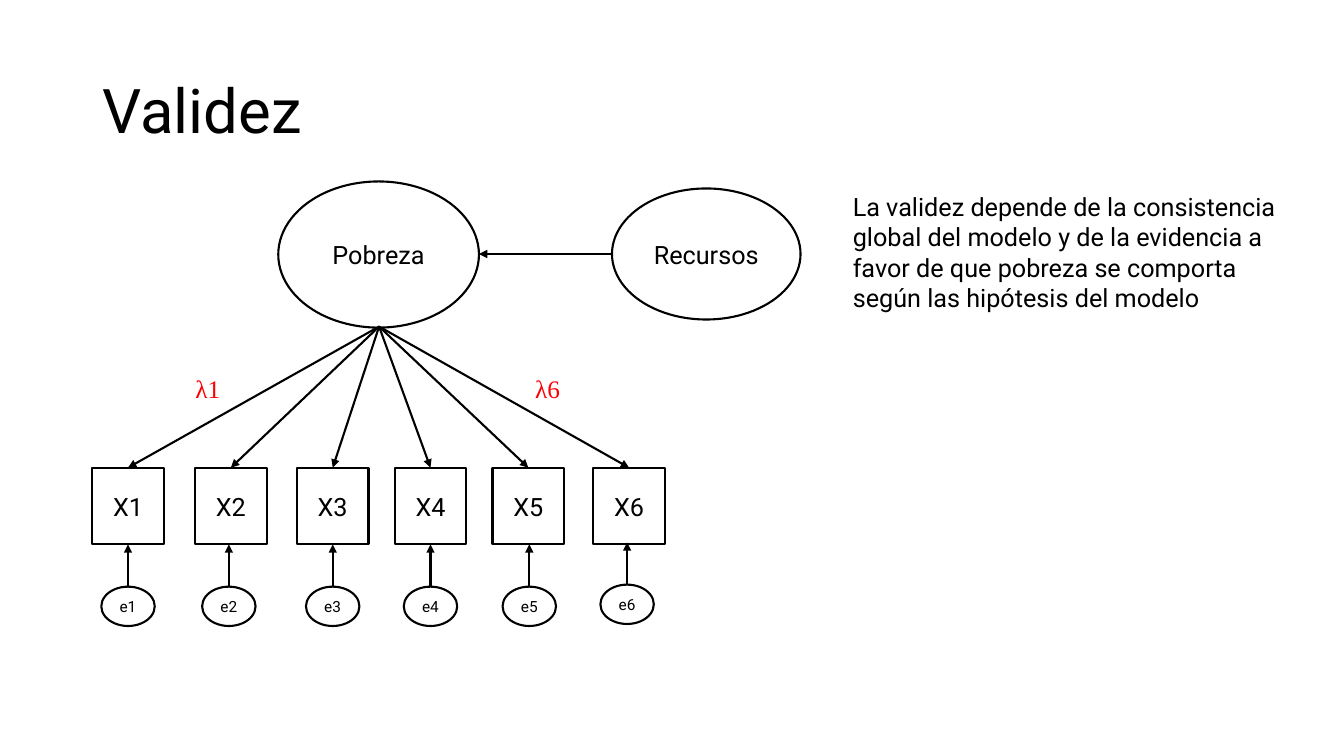
"""Draw the validity slide: a poverty factor, six indicators and their errors."""
import pptx
import pptx.util
import pptx.dml.color
import pptx.enum.shapes
import pptx.enum.text
import pptx.oxml.ns
import lxml.etree

Inches = pptx.util.Inches
Pt = pptx.util.Pt
RGB = pptx.dml.color.RGBColor
Kind = pptx.enum.shapes.MSO_SHAPE
Align = pptx.enum.text.PP_ALIGN
Anchor = pptx.enum.text.MSO_ANCHOR
qn = pptx.oxml.ns.qn

theme = {
    "ink": RGB(0, 0, 0),
    "paper": RGB(255, 255, 255),
    "red": RGB(255, 0, 0),
    "font": "Roboto",
    "greek": "Times New Roman",
    "title": Pt(44),
    "body": Pt(18),
    "small": Pt(11),
    "line": Pt(1.5),
}

deck = pptx.Presentation()
deck.slide_width = Inches(13.33)
deck.slide_height = Inches(7.5)
slide = deck.slides.add_slide(deck.slide_layouts[6])


def put(text, box, kind=None, size="body", font="font", color="ink"):
    """Add a text box, or an outlined shape with centred text if kind is given."""
    place = [Inches(n) for n in box]
    if kind is None:
        item = slide.shapes.add_textbox(*place)
    else:
        item = slide.shapes.add_shape(kind, *place)
        item.shadow.inherit = False
        item.fill.solid()
        item.fill.fore_color.rgb = theme["paper"]
        item.line.color.rgb = theme["ink"]
        item.line.width = theme["line"]
    frame = item.text_frame
    frame.word_wrap = True
    frame.text = text
    para = frame.paragraphs[0]
    if kind is not None:
        frame.margin_left = frame.margin_right = 0
        frame.margin_top = frame.margin_bottom = 0
        frame.vertical_anchor = Anchor.MIDDLE
        para.alignment = Align.CENTER
    run = para.runs[0]
    run.font.size = theme[size]
    run.font.name = theme[font]
    run.font.color.rgb = theme[color]
    return item


def arrow(x1, y1, x2, y2):
    """Add a straight line with a triangle at its end."""
    link = slide.shapes.add_connector(
        pptx.enum.shapes.MSO_CONNECTOR.STRAIGHT,
        Inches(x1), Inches(y1), Inches(x2), Inches(y2))
    link.line.color.rgb = theme["ink"]
    link.line.width = theme["line"]
    tip = lxml.etree.SubElement(link.line._get_or_add_ln(), qn("a:tailEnd"))
    tip.set("type", "triangle")
    lxml.etree.SubElement(link._element.spPr, qn("a:effectLst"))


title = put("Validez", (0.92, 0.4, 11.5, 1.45), size="title")
title.text_frame.vertical_anchor = Anchor.MIDDLE
title.text_frame.paragraphs[0].line_spacing = 0.9

put("Pobreza", (2.76, 1.8, 1.99, 1.45), Kind.OVAL)
put("Recursos", (6.07, 1.87, 1.87, 1.3), Kind.OVAL)
arrow(6.07, 2.52, 4.75, 2.52)

columns = [
    (1.27, 1.27, 5.82),
    (2.29, 2.27, 5.82),
    (3.3, 3.3, 5.82),
    (4.27, 4.27, 5.82),
    (5.24, 5.25, 5.82),
    (6.24, 6.22, 5.8),
]
for num, (mid, error, top) in enumerate(columns, 1):
    put(f"X{num}", (mid - 0.355, 4.64, 0.71, 0.76), Kind.RECTANGLE)
    arrow(3.76, 3.24, mid, 4.64)
    put(f"e{num}", (error - 0.265, top, 0.53, 0.39), Kind.OVAL, "small")
    arrow(error, top, error, top - 0.42)

for text, left in (("λ1", 1.84), ("λ6", 5.21)):
    put(text, (left, 3.65, 0.49, 0.4), font="greek", color="red")

put("La validez depende de la consistencia global del modelo y de la "
    "evidencia a favor de que pobreza se comporta según las hipótesis "
    "del modelo", (8.36, 1.85, 4.43, 1.31))

deck.save("out.pptx")
